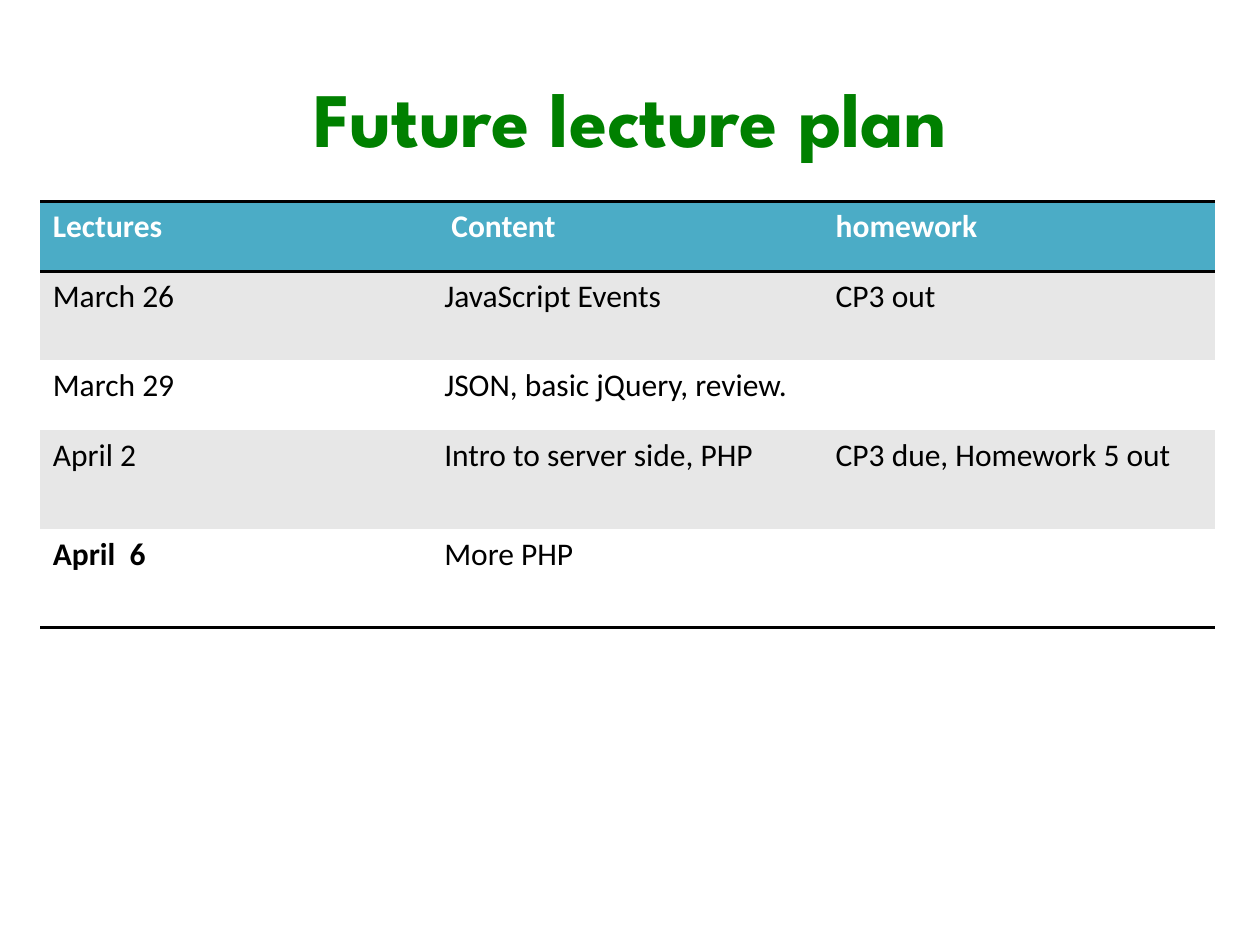
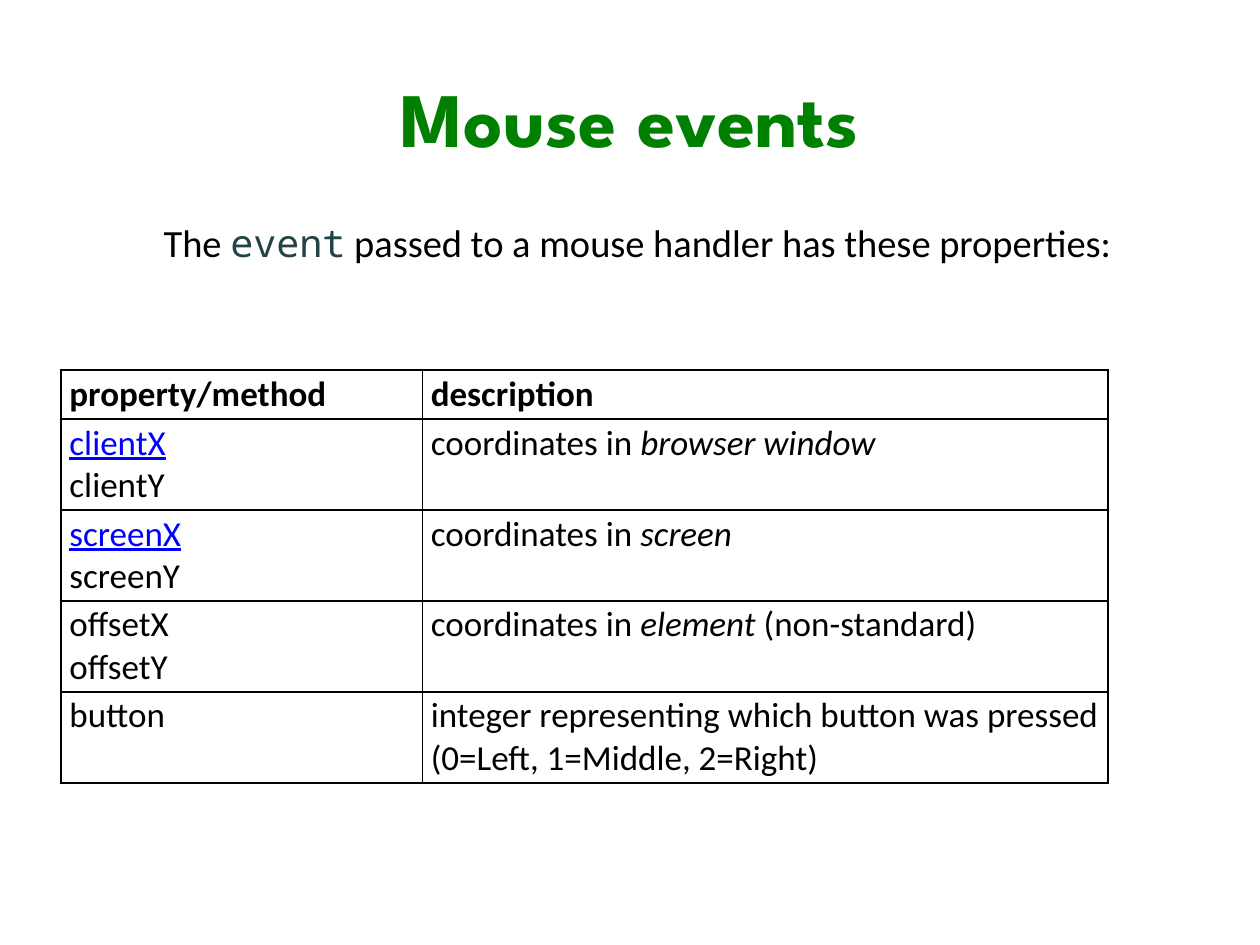
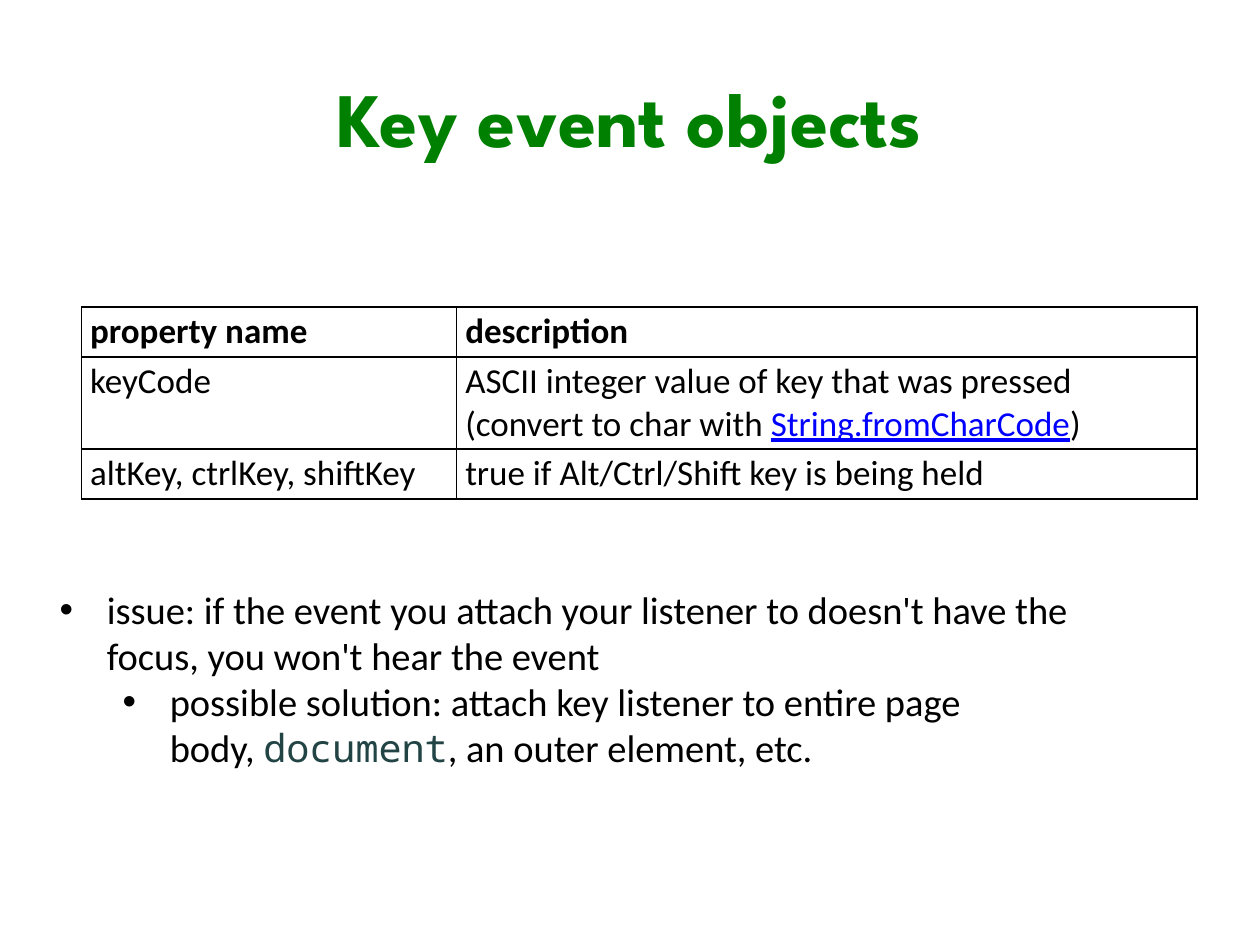
from lxml import etree
from pptx import Presentation
from pptx.dml.color import RGBColor
from pptx.enum import shapes, text
from pptx.oxml import ns
from pptx.util import Pt

rgb = RGBColor.from_string
BLACK, WHITE, GREEN = "000000", "FFFFFF", "008000"
TEAL, GREY, BLUE, SLATE = "4BACC6", "E7E7E7", "0000FF", "224444"
NO_STYLE = "{2D5ABB26-0587-4C30-8999-92F81FD0307C}"
HARD = chr(160)  # space that does not break


def write(para, parts, size, color=BLACK, bold=False):
    """Fill a paragraph from a string or from (words, kind) pairs."""
    if isinstance(parts, str):
        parts = [(parts, "")]
    for words, kind in parts:
        run = para.add_run()
        run.text = words
        font = run.font
        font.size = Pt(size)
        font.bold = bold
        font.name = "Noto Sans Mono" if kind == "code" else "Calibri"
        font.color.rgb = rgb({"code": SLATE, "link": BLUE}.get(kind, color))
        font.italic = kind == "italic"
        font.underline = kind == "link"


def add_grid(slide, left, top, cols, rows, data, size, pads, lines, fills):
    """Add a table; lines and fills hold one entry per row, a line being (sides, width)."""
    frame = slide.shapes.add_table(len(rows), len(cols), Pt(left), Pt(top),
                                   Pt(sum(cols)), Pt(sum(rows)))
    for style in frame._element.iter(ns.qn("a:tableStyleId")):
        style.text = NO_STYLE
    table = frame.table
    table.horz_banding = False
    for col, width in zip(table.columns, cols):
        col.width = Pt(width)
    for r, height in enumerate(rows):
        table.rows[r].height = Pt(height)
        sides, width = lines[r]
        for c, paras in enumerate(data[r]):
            cell = table.cell(r, c)
            cell.margin_left = cell.margin_right = Pt(pads[0])
            cell.margin_top = cell.margin_bottom = Pt(pads[1])
            props = cell._tc.get_or_add_tcPr()
            for side in sides:
                line = etree.SubElement(props, ns.qn("a:ln" + side), w=str(Pt(width)))
                solid = etree.SubElement(line, ns.qn("a:solidFill"))
                etree.SubElement(solid, ns.qn("a:srgbClr"), val=BLACK)
            if fills[r]:
                cell.fill.solid()
                cell.fill.fore_color.rgb = rgb(fills[r])
            else:
                cell.fill.background()
            if isinstance(paras, str):
                paras = [paras]
            frame_text = cell.text_frame
            color = WHITE if fills[r] == TEAL else BLACK
            for n, parts in enumerate(paras):
                para = frame_text.add_paragraph() if n else frame_text.paragraphs[0]
                if parts:
                    write(para, parts, size, color, r == 0 or parts == "April  6")


prs = Presentation()
prs.slide_width, prs.slide_height = Pt(720), Pt(540)

# Slides and titles: layout 5 has a title only, layout 1 a title and a body
deck = []
for name, layout in (("Future lecture plan", 5), ("Mouse events", 5),
                     ("Key event objects", 1)):
    slide = prs.slides.add_slide(prs.slide_layouts[layout])
    title = slide.shapes.title
    title.left, title.top, title.width, title.height = Pt(36), Pt(21.6), Pt(648), Pt(90)
    title.text_frame.text = name
    title.text_frame.vertical_anchor = text.MSO_ANCHOR.MIDDLE
    para = title.text_frame.paragraphs[0]
    para.alignment = text.PP_ALIGN.CENTER
    font = para.runs[0].font
    font.name, font.size, font.bold = "League Spartan", Pt(44), True
    font.color.rgb = rgb(GREEN)
    deck.append(slide)
plan, mouse, keys = deck

# Lecture plan
lectures = [
    ["Lectures", " Content", "homework"],
    ["March 26", "JavaScript Events", "CP3 out"],
    ["March 29", "JSON, basic jQuery, review.", ""],
    ["April 2", "Intro to server side, PHP", "CP3 due, Homework 5 out"],
    ["April  6", "More PHP", ""],
]
add_grid(plan, 23, 115, [223.7] * 3, [40, 51, 40, 56.4, 56.4], lectures, 18, (7.2, 3.6),
         [("TB", 2), ("", 0), ("", 0), ("", 0), ("B", 2)],
         [TEAL, GREY, WHITE, GREY, WHITE])

# Mouse events
intro = mouse.shapes.add_shape(shapes.MSO_SHAPE.RECTANGLE,
                               Pt(86.4), Pt(121.4), Pt(563.8), Pt(34))
intro.shadow.inherit = False
intro.fill.solid()
intro.fill.fore_color.rgb = rgb(WHITE)
intro.line.fill.background()
intro.text_frame.word_wrap = False
intro.text_frame.vertical_anchor = text.MSO_ANCHOR.MIDDLE
para = intro.text_frame.paragraphs[0]
para.alignment = text.PP_ALIGN.LEFT
write(para, [("The ", ""), ("event", "code"),
             (" passed to a mouse handler has these properties:", "")], 22)

props = [
    ["property/method", "description"],
    [[[("clientX", "link")], "clientY"],
     [[("coordinates in ", ""), ("browser window", "italic")]]],
    [[[("screenX", "link")], "screenY"],
     [[("coordinates in ", ""), ("screen", "italic")]]],
    [["offsetX", "offsetY"],
     [[("coordinates in ", ""), ("element", "italic"), (" (non-standard)", "")]]],
    ["button", "integer representing which button was pressed (0=Left, 1=Middle, 2=Right)"],
]
add_grid(mouse, 34.8, 211.5, [206.5, 392], [28] + [52] * 4, props, 20, (4.9, 1.5),
         [("LRTB", 1)] * 5, [None] * 5)

# Key events
fields = [
    ["property name", "description"],
    ["keyCode", ["ASCII integer value of key that was pressed ",
                 [("(convert to char with ", ""), ("String.fromCharCode", "link"),
                  (")", "")]]],
    ["altKey, ctrlKey, shiftKey", "true if Alt/Ctrl/Shift key is being held"],
]
add_grid(keys, 46.6, 175.5, [214.4, 423], [28.5, 52.7, 28.5], fields, 20, (4.9, 1.8),
         [("LRTB", 1)] * 3, [None] * 3)

body = keys.placeholders[1]
body.left, body.top, body.width, body.height = Pt(28), Pt(307.5), Pt(638.6), Pt(169)
body.fill.solid()
body.fill.fore_color.rgb = rgb(WHITE)
frame = body.text_frame
frame.auto_size = text.MSO_AUTO_SIZE.NONE
frame.word_wrap = True
frame.vertical_anchor = text.MSO_ANCHOR.MIDDLE
frame.margin_left, frame.margin_right = Pt(6), Pt(0)
frame.margin_top, frame.margin_bottom = Pt(0), Pt(9)
notes = [
    "issue: if the event you attach your listener to doesn't have the focus, "
    "you won't hear the event",
    [("possible solution: attach key listener to entire page body," + HARD, ""),
     ("document", "code"), (", an outer element, etc.", "")],
]
for level, parts in enumerate(notes):
    para = frame.add_paragraph() if level else frame.paragraphs[0]
    para.level = level
    para.space_before = Pt(0)
    write(para, parts, 22)
    form = para._p.get_or_add_pPr()
    form.set("marL", str(Pt(27 + 36 * level)))
    form.set("indent", str(-Pt(27)))
    etree.SubElement(form, ns.qn("a:buFont"), typeface="Arial")
    etree.SubElement(form, ns.qn("a:buChar"), char="•")

prs.save("out.pptx")
